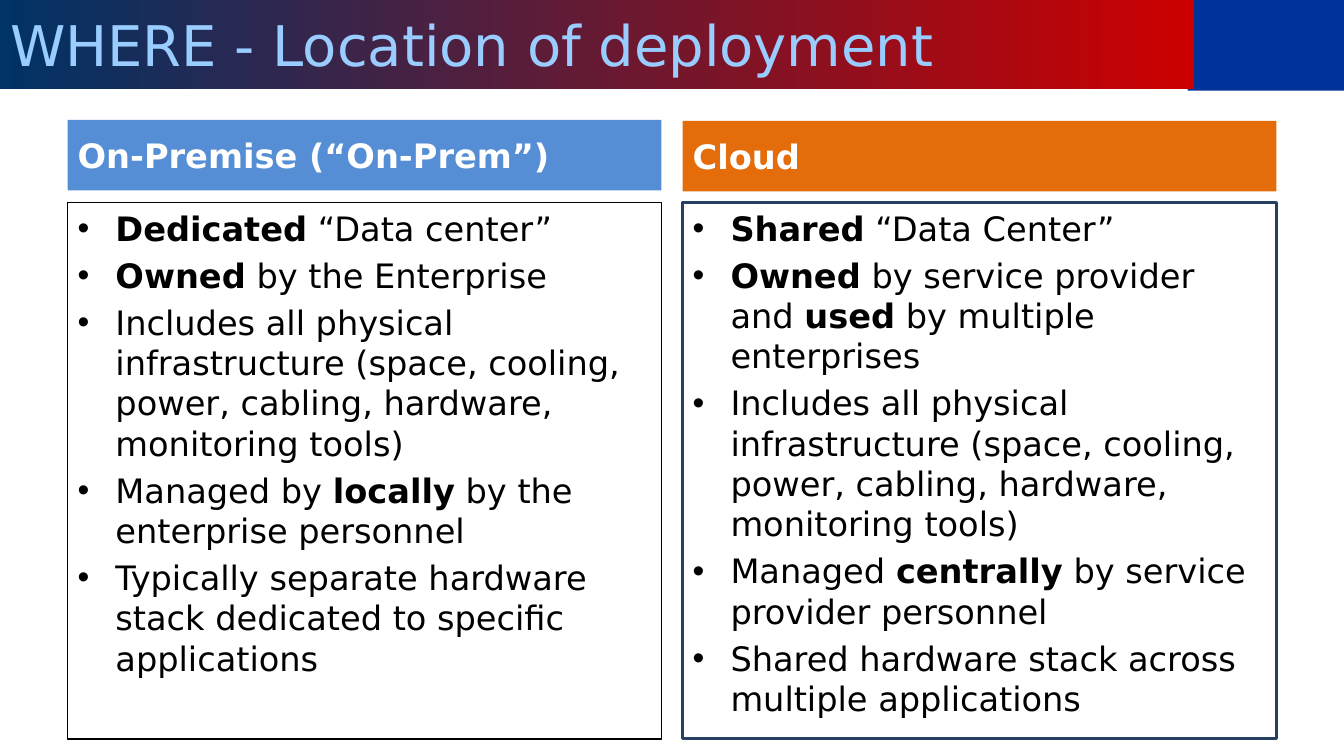
from pptx import Presentation
from pptx.dml.color import RGBColor
from pptx.enum.shapes import MSO_SHAPE as Shape
from pptx.enum.text import MSO_ANCHOR as Anchor, MSO_AUTO_SIZE as AutoSize, PP_ALIGN as Align
from pptx.util import Inches, Pt

FONT = "DejaVu Sans"
INFRASTRUCTURE = ("Includes all physical infrastructure (space, cooling, power, "
                  "cabling, hardware, monitoring tools)")
ON_PREMISE = [
    "**Dedicated** “Data center”",
    "**Owned** by the Enterprise",
    INFRASTRUCTURE,
    "Managed by **locally** by the enterprise personnel",
    "Typically separate hardware stack dedicated to specific applications",
]
CLOUD = [
    "**Shared** “Data Center”",
    "**Owned** by service provider and **used** by multiple enterprises",
    INFRASTRUCTURE,
    "Managed **centrally** by service provider personnel",
    "Shared hardware stack across multiple applications",
]


def color(hex_value):
    return RGBColor.from_string(hex_value)


def apply(target, formats):
    for key, value in formats.items():
        setattr(target, key, value)


def place(part, left, top, width, height):
    apply(part, dict(left=Inches(left), top=Inches(top),
                     width=Inches(width), height=Inches(height)))


def paint(part, hex_value):
    part.fill.solid()
    part.fill.fore_color.rgb = color(hex_value)


def write(part, lines, size, hex_value, anchor, space=0):
    frame = part.text_frame
    apply(frame, dict(word_wrap=True, auto_size=AutoSize.NONE, vertical_anchor=anchor))
    for number, line in enumerate(lines):
        paragraph = frame.add_paragraph() if number else frame.paragraphs[0]
        apply(paragraph, dict(alignment=Align.LEFT, space_before=Pt(space)))
        for index, words in enumerate(line.split("**")):
            if words:
                run = paragraph.add_run()
                run.text = words
                apply(run.font, dict(name=FONT, size=Pt(size), bold=index % 2 == 1))
                run.font.color.rgb = color(hex_value)


def add_banner(slide, title, left, top, width, height):
    corner = slide.shapes.add_shape(Shape.RECTANGLE, Inches(left + width - 1.55), Inches(top),
                                    Inches(1.55), Inches(height))
    corner.shadow.inherit = False
    paint(corner, "003399")
    corner.line.fill.background()
    heading = slide.shapes.title
    heading._element.addprevious(corner._element)
    place(heading, left, top, width - 1.49, height - 0.02)
    heading.fill.gradient()
    heading.fill.gradient_angle = 0
    for stop, hex_value, position in zip(heading.fill.gradient_stops, ("003366", "CC0000"), (0, 1)):
        stop.color.rgb = color(hex_value)
        stop.position = position
    write(heading, [title], 40, "99CCFF", Anchor.MIDDLE)


def add_column(header, details, box, title, points, fill, border, border_width):
    left, top, width, height = box
    place(header, left, top, width, 0.7)
    paint(header, fill)
    write(header, [f"**{title}**"], 24, "FFFFFF", Anchor.MIDDLE, 4.8)
    details_top = 2.01
    place(details, left, details_top, width, top + height - details_top)
    details.line.color.rgb = color(border)
    details.line.width = Pt(border_width)
    write(details, points, 24, "000000", Anchor.TOP, 4.8)


def build_comparison(deck):
    slide = deck.slides.add_slide(deck.slide_layouts[4])
    _, left_header, left_details, right_header, right_details = slide.placeholders
    add_banner(slide, "WHERE - Location of deployment", 0, 0, 13.33, 0.9)
    add_column(left_header, left_details, (0.67, 1.19, 5.89, 6.14),
               "On-Premise (“On-Prem”)", ON_PREMISE, "558ED5", "000000", 1)
    add_column(right_header, right_details, (6.77, 1.2, 5.89, 6.13),
               "Cloud", CLOUD, "E46C0A", "254061", 2.25)


def main():
    deck = Presentation()
    apply(deck, dict(slide_width=Inches(13.33), slide_height=Inches(7.5)))
    build_comparison(deck)
    deck.save("out.pptx")


if __name__ == "__main__":
    main()
